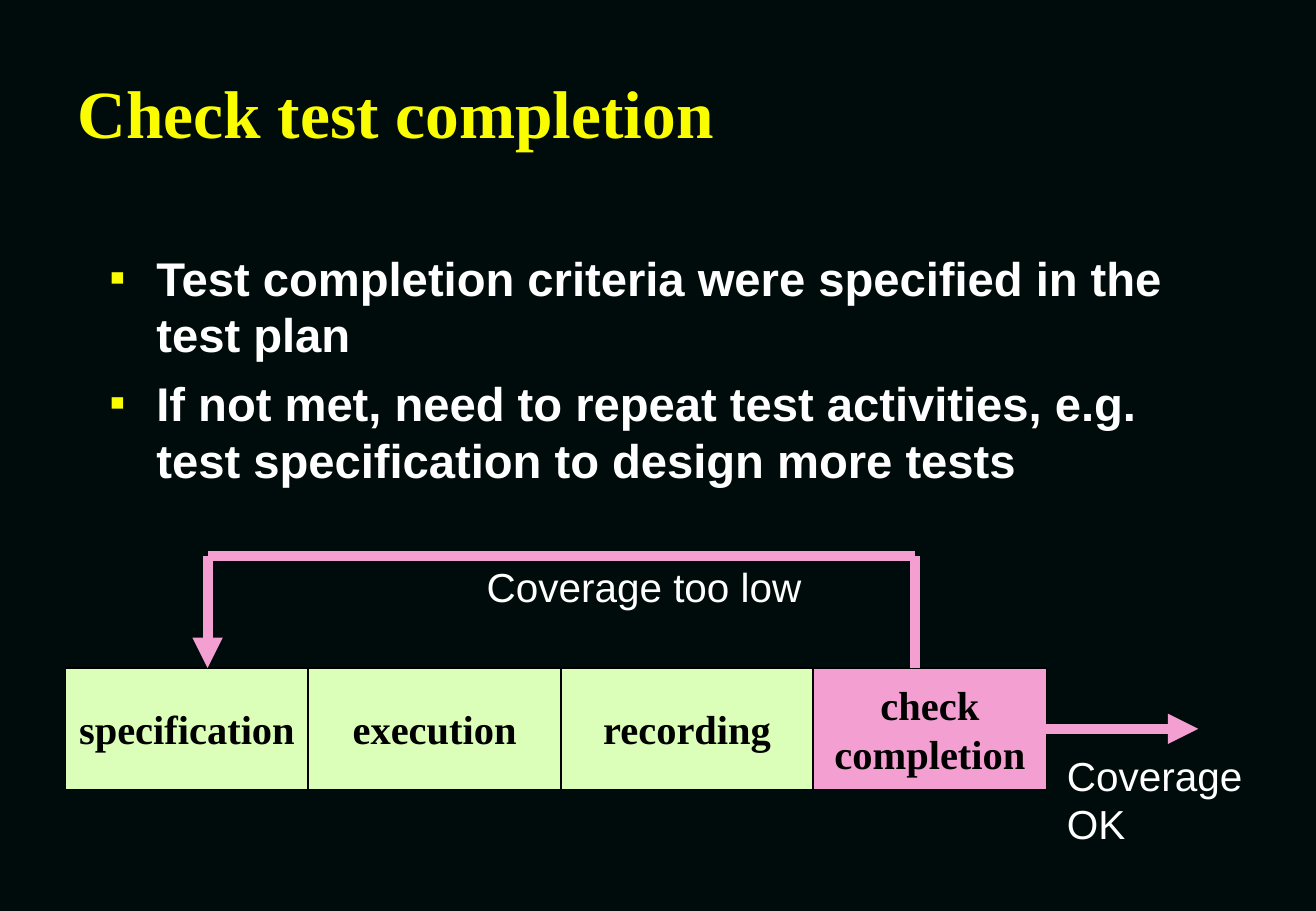
"""Build the slide on checking test completion, with its feedback loop."""
from lxml import etree
from pptx import Presentation
from pptx import util as u
from pptx.dml.color import RGBColor
from pptx.enum import shapes, text
from pptx.oxml.ns import qn

TITLE = "Check test completion"
POINTS = [
    "Test completion criteria were specified in the test plan",
    "If not met, need to repeat test activities, e.g. test specification to design more tests",
]
BACKGROUND = RGBColor(0x00, 0x0C, 0x0B)
YELLOW = RGBColor(0xFA, 0xFD, 0x00)
WHITE = RGBColor(0xFF, 0xFF, 0xFF)
BLACK = RGBColor(0x00, 0x00, 0x00)
GREEN = RGBColor(0xDB, 0xFF, 0xB8)
PINK = RGBColor(0xF3, 0x9F, 0xD1)
STEPS = [
    ("specification", 2, GREEN),
    ("execution", 2.08, GREEN),
    ("recording", 2.08, GREEN),
    ("check\ncompletion", 1.92, PINK),
]
SERIF, SANS = "Times New Roman", "Arial"
LEFT, STEP_TOP, STEP_HEIGHT = 0.54, 5.5, 1
LOOP_TOP, LOOP_LEFT, LOOP_RIGHT = 4.58, 1.71, 7.54
EXIT_LENGTH = 1.25
LABELS = [
    ("Coverage too low", 3.91, LOOP_TOP, 3, 0.5),
    ("Coverage\nOK", 8.69, 6.13, 1.9, 0.9),
]


def place(shape, left, top, width, height):
    shape.left, shape.top = u.Inches(left), u.Inches(top)
    shape.width, shape.height = u.Inches(width), u.Inches(height)


def write(shape, content, font=SANS, size=24, color=WHITE, bold=False, wrap=True,
          align=text.PP_ALIGN.LEFT, anchor=text.MSO_ANCHOR.TOP):
    frame = shape.text_frame
    frame.text = content
    frame.word_wrap, frame.vertical_anchor = wrap, anchor
    frame.auto_size = text.MSO_AUTO_SIZE.NONE
    for paragraph in frame.paragraphs:
        paragraph.alignment = align
        for run in paragraph.runs:
            run.font.name, run.font.size, run.font.bold = font, u.Pt(size), bold
            run.font.color.rgb = color


def add_label(slide, content, left, top, width, height, **style):
    label = slide.shapes.add_textbox(0, 0, 0, 0)
    place(label, left, top, width, height)
    write(label, content, **style)
    return label


def add_bullet(paragraph):
    paragraph.space_before = u.Pt(7)
    properties = paragraph._p.get_or_add_pPr()
    indent = u.Inches(0.38)
    properties.set("marL", str(indent))
    properties.set("indent", str(-indent))
    color = etree.SubElement(properties, qn("a:buClr"))
    etree.SubElement(color, qn("a:srgbClr"), val=str(YELLOW))
    etree.SubElement(properties, qn("a:buSzPct"), val="50000")
    etree.SubElement(properties, qn("a:buFont"), typeface=SANS)
    etree.SubElement(properties, qn("a:buChar"), char="■")


def add_line(slide, start, end, arrow=False):
    ends = [u.Inches(value) for value in (*start, *end)]
    connector = slide.shapes.add_connector(shapes.MSO_CONNECTOR.STRAIGHT, *ends)
    connector.line.color.rgb, connector.line.width = PINK, u.Pt(6)
    if arrow:
        etree.SubElement(connector.line._get_or_add_ln(), qn("a:tailEnd"), type="triangle")
    etree.SubElement(connector._element.spPr, qn("a:effectLst"))


def add_step(slide, name, left, width, color):
    step = slide.shapes.add_shape(shapes.MSO_SHAPE.RECTANGLE, 0, 0, 0, 0)
    place(step, left, STEP_TOP, width, STEP_HEIGHT)
    step.shadow.inherit = False
    step.fill.solid()
    step.fill.fore_color.rgb = color
    step.line.color.rgb, step.line.width = BLACK, u.Pt(1)
    write(step, name, font=SERIF, color=BLACK, bold=True, wrap=False,
          align=text.PP_ALIGN.CENTER, anchor=text.MSO_ANCHOR.MIDDLE)


def main():
    presentation = Presentation()
    presentation.slide_width, presentation.slide_height = u.Inches(10.84), u.Inches(7.5)
    slide = presentation.slides.add_slide(presentation.slide_layouts.get_by_name("Title Only"))
    slide.background.fill.solid()
    slide.background.fill.fore_color.rgb = BACKGROUND

    title = slide.shapes.title
    place(title, LEFT, 0.58, 9.21, 0.67)
    write(title, TITLE, font=SERIF, size=40, color=YELLOW, bold=True,
          anchor=text.MSO_ANCHOR.MIDDLE)
    body = add_label(slide, "\n".join(POINTS), 0.81, 2, 9.21, 4.67, size=28, bold=True)
    for paragraph in body.text_frame.paragraphs:
        add_bullet(paragraph)

    left = LEFT
    for name, width, color in STEPS:
        add_step(slide, name, left, width, color)
        left += width

    corners = [(LOOP_RIGHT, STEP_TOP), (LOOP_RIGHT, LOOP_TOP),
               (LOOP_LEFT, LOOP_TOP), (LOOP_LEFT, STEP_TOP)]
    for start, end in zip(corners, corners[1:]):
        add_line(slide, start, end, arrow=end == corners[-1])
    middle = STEP_TOP + STEP_HEIGHT / 2
    add_line(slide, (left, middle), (left + EXIT_LENGTH, middle), arrow=True)

    for label in LABELS:
        add_label(slide, *label)
    presentation.save("out.pptx")


if __name__ == "__main__":
    main()
